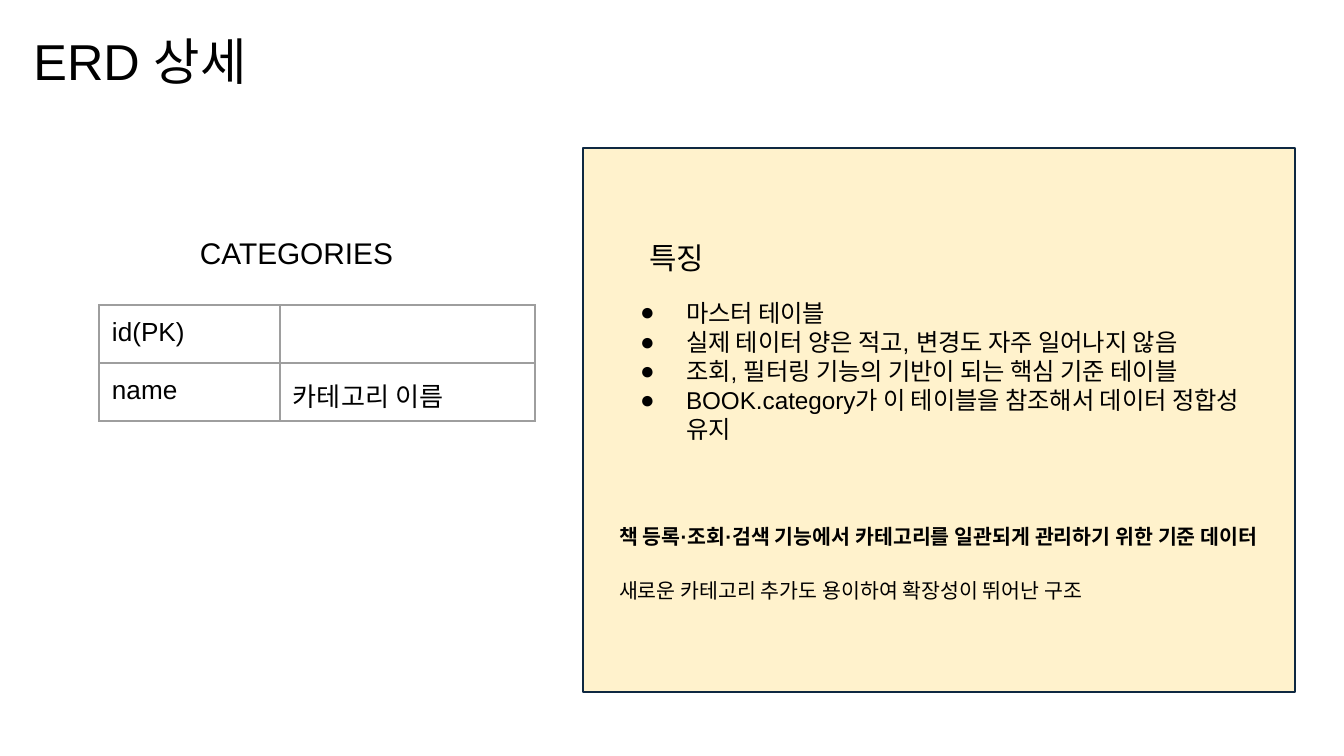
from lxml import etree
from pptx import Presentation
from pptx.dml.color import RGBColor
from pptx.enum.shapes import MSO_SHAPE
from pptx.enum.text import MSO_ANCHOR, MSO_AUTO_SIZE, PP_ALIGN
from pptx.oxml.ns import qn
from pptx.util import Emu, Pt

RECTANGLE = MSO_SHAPE.RECTANGLE
TOP, MIDDLE = MSO_ANCHOR.TOP, MSO_ANCHOR.MIDDLE
NO_AUTOFIT = MSO_AUTO_SIZE.NONE
LEFT = PP_ALIGN.LEFT

TITLE = "ERD 상세"
TABLE_NAME = "CATEGORIES"
COLUMNS = [("id(PK)", ""), ("name", "카테고리 이름")]
FEATURES_HEADING = "특징"
FEATURES = [
    "마스터 테이블",
    "실제 테이터 양은 적고, 변경도 자주 일어나지 않음",
    "조회, 필터링 기능의 기반이 되는 핵심 기준 테이블",
    "BOOK.category가 이 테이블을 참조해서 데이터 정합성 유지",
]
SUMMARY = [
    ("책 등록·조회·검색 기능에서 카테고리를 일관되게 관리하기 위한 기준 데이터", True),
    ("새로운 카테고리 추가도 용이하여 확장성이 뛰어난 구조", False),
]

THEME = {
    "font": "Arial",
    "text": "000000", "panel": "FFF2CC", "panel_line": "0E2841", "grid": "9E9E9E",
    "title": 27, "heading": 16, "cell": 14, "list": 13, "summary": 11,
    "line": 0.75,
}

SLIDE = (1344, 756)
TITLE_BOX = (20, 23, 1159, 83)
PANEL_BOX = (583, 148, 712, 544)
TABLE_NAME_BOX = (120, 222, 1055, 63)
HEADING_BOX = (636, 227, 399, 63)
FEATURES_BOX = (606, 285, 695, 175)
SUMMARY_BOX = (606, 507, 695, 148)
TABLE_AT = (99, 305)
COLUMN_WIDTHS = (181, 255)
ROW_HEIGHT = 58
INSET = 13
INDENT, HANGING = 67, -46


def px(length):
    return Emu(round(length * 914400 / 134.4))


def color(name):
    return RGBColor.from_string(THEME[name])


def place(shape, box):
    shape.left, shape.top, shape.width, shape.height = map(px, box)


def set_insets(frame):
    frame.margin_left = frame.margin_right = px(INSET)
    frame.margin_top = frame.margin_bottom = px(INSET)


def write(paragraph, text, size, bold=False):
    run = paragraph.add_run()
    run.text = text
    run.font.name = THEME["font"]
    run.font.size = Pt(THEME[size])
    run.font.bold = bold
    run.font.color.rgb = color("text")


def write_paragraphs(frame, lines, size):
    """Fill the frame with (text, bold) lines and return its paragraphs."""
    for i, (text, bold) in enumerate(lines):
        paragraph = frame.add_paragraph() if i else frame.paragraphs[0]
        write(paragraph, text, size, bold)
    return frame.paragraphs


def add_text(slide, box, lines, size):
    textbox = slide.shapes.add_textbox(*map(px, box))
    frame = textbox.text_frame
    frame.word_wrap = True
    set_insets(frame)
    return write_paragraphs(frame, lines, size)


def set_indent(paragraph, left, first):
    properties = paragraph._p.get_or_add_pPr()
    properties.set("marL", str(px(left)))
    properties.set("indent", str(px(first)))
    return properties


def set_bullet(paragraph):
    properties = set_indent(paragraph, INDENT, HANGING)
    bullet_color = etree.SubElement(properties, qn("a:buClr"))
    etree.SubElement(bullet_color, qn("a:srgbClr"), val=THEME["text"])
    etree.SubElement(properties, qn("a:buFont"), typeface=THEME["font"])
    etree.SubElement(properties, qn("a:buChar"), char="●")


def set_borders(cell):
    properties = cell._tc.get_or_add_tcPr()
    for i, side in enumerate(("a:lnL", "a:lnR", "a:lnT", "a:lnB")):
        line = etree.Element(qn(side), w=str(Pt(THEME["line"])))
        fill = etree.SubElement(line, qn("a:solidFill"))
        etree.SubElement(fill, qn("a:srgbClr"), val=THEME["grid"])
        properties.insert(i, line)


def add_panel(slide):
    panel = slide.shapes.add_shape(RECTANGLE, *map(px, PANEL_BOX))
    panel.shadow.inherit = False
    panel.fill.solid()
    panel.fill.fore_color.rgb = color("panel")
    panel.line.color.rgb = color("panel_line")
    panel.line.width = Pt(THEME["line"])
    slide.shapes._spTree.insert(2, panel._element)  # behind the placeholders


def add_title(slide):
    title = slide.shapes.title
    place(title, TITLE_BOX)
    frame = title.text_frame
    frame.auto_size = NO_AUTOFIT
    frame.vertical_anchor = MIDDLE
    paragraph = frame.paragraphs[0]
    paragraph.alignment = LEFT
    paragraph.line_spacing = 0.9
    write(paragraph, TITLE, "title")


def add_features(slide):
    body = slide.placeholders[1]
    place(body, FEATURES_BOX)
    frame = body.text_frame
    frame.auto_size = NO_AUTOFIT
    frame.vertical_anchor = TOP
    set_insets(frame)
    for paragraph in write_paragraphs(frame, [(text, False) for text in FEATURES], "list"):
        paragraph.space_before = Pt(0)
        set_bullet(paragraph)


def add_columns_table(slide):
    size = (sum(COLUMN_WIDTHS), ROW_HEIGHT * len(COLUMNS))
    table = slide.shapes.add_table(
        len(COLUMNS), len(COLUMN_WIDTHS), *map(px, TABLE_AT + size)).table
    table.first_row = table.horz_banding = False
    for column, width in zip(table.columns, COLUMN_WIDTHS):
        column.width = px(width)
    for row, texts in zip(table.rows, COLUMNS):
        row.height = px(ROW_HEIGHT)
        for cell, text in zip(row.cells, texts):
            set_insets(cell)
            cell.fill.background()
            set_borders(cell)
            paragraph = cell.text_frame.paragraphs[0]
            if text:
                write(paragraph, text, "cell")
            else:  # keeps the empty cell from stretching its row
                etree.SubElement(paragraph._p, qn("a:endParaRPr"),
                                 sz=str(THEME["cell"] * 100))


def main():
    deck = Presentation()
    deck.slide_width, deck.slide_height = map(px, SLIDE)
    slide = deck.slides.add_slide(deck.slide_layouts[1])

    add_panel(slide)
    add_title(slide)
    table_name = add_text(slide, TABLE_NAME_BOX, [(TABLE_NAME, False)], "heading")
    set_indent(table_name[0], INDENT, 0)
    add_columns_table(slide)
    add_text(slide, HEADING_BOX, [(FEATURES_HEADING, False)], "heading")
    add_features(slide)
    summary = add_text(slide, SUMMARY_BOX, SUMMARY, "summary")
    for paragraph in summary:
        paragraph.line_spacing = 1.15
    for paragraph in summary[1:]:
        paragraph.space_before = Pt(14)

    deck.save("out.pptx")


if __name__ == "__main__":
    main()
